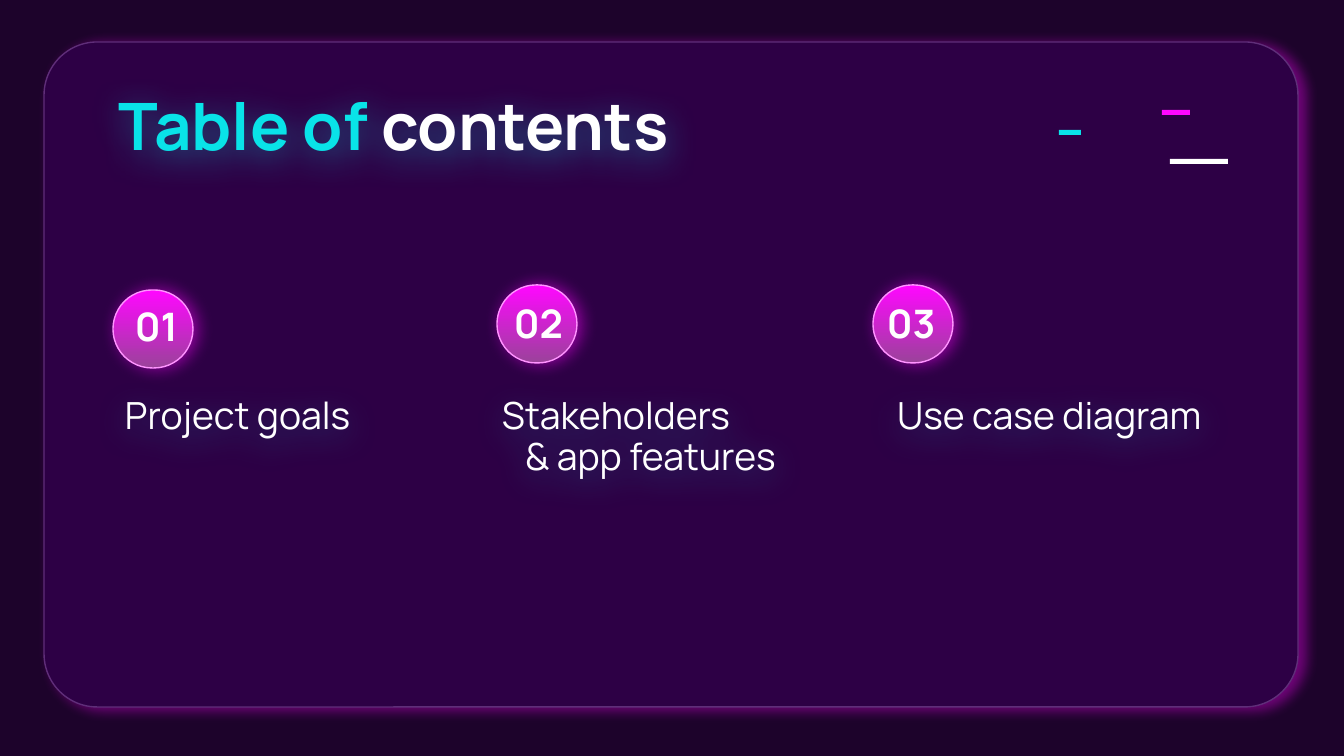
from lxml import etree
from pptx import Presentation
from pptx.dml.color import RGBColor
from pptx.enum.shapes import MSO_SHAPE
from pptx.enum.text import MSO_ANCHOR
from pptx.oxml.ns import qn
from pptx.util import Pt

PX = 914400 / 134.4
RECT, ROUNDED = MSO_SHAPE.RECTANGLE, MSO_SHAPE.ROUNDED_RECTANGLE
MIDDLE = MSO_ANCHOR.MIDDLE

FONT = "Manrope"
NIGHT = RGBColor(0x1D, 0x03, 0x2B)
PANEL = RGBColor(0x2D, 0x00, 0x45)
PANEL_EDGE = RGBColor(0x5F, 0x2E, 0x79)
MAGENTA = RGBColor(0xFF, 0x07, 0xFF)
PLUM = RGBColor(0x9B, 0x42, 0x9B)
PINK = RGBColor(0xFF, 0x94, 0xFF)
CYAN = RGBColor(0x09, 0xE3, 0xE8)
WHITE = RGBColor(0xFF, 0xFF, 0xFF)

# Boxes are left, top, width, height in px.
SLIDE = (0, 0, 1344, 756)
PANEL_BOX = (44, 42, 1254, 665)
TITLE = [("Table of", CYAN), (" contents", WHITE)]
TITLE_BOX = (106, 87, 1133, 85)
DASHES = [
    ((1170, 159, 58, 5), WHITE),
    ((1162, 110, 28, 5), MAGENTA),
    ((1059, 130, 22, 5), CYAN),
]
# Number, lines of the topic, badge corner, number corner, topic box
SECTIONS = [
    ("01", ["Project goals"], (113, 290), (122, 285), (112, 378, 367, 78)),
    ("02", ["Stakeholders", "& app features"], (497, 285), (501, 282), (489, 378, 367, 120)),
    ("03", ["Use case diagram"], (873, 285), (874, 282), (884, 378, 379, 78)),
]
BADGE_SIZE = (80, 78)
NUMBER_SIZE = (187, 87)
INSET = 13
NEXT_LINE_INDENT = 23


def emu(box):
    return [round(value * PX) for value in box]


def add_shadow(shape, color, alpha, blur, distance, angle):
    """Cast a blurred shadow: alpha in percent, lengths in points, angle in degrees."""
    shape.shadow.inherit = False
    effects = shape._element.spPr.find(qn("a:effectLst"))
    shadow = etree.SubElement(
        effects, qn("a:outerShdw"), blurRad=str(Pt(blur)), dist=str(Pt(distance)),
        dir=str(angle * 60000), algn="bl", rotWithShape="0")
    tint = etree.SubElement(shadow, qn("a:srgbClr"), val=str(color))
    etree.SubElement(tint, qn("a:alpha"), val=str(alpha * 1000))


def add_block(slide, kind, box, color, edge=None):
    block = slide.shapes.add_shape(kind, *emu(box))
    block.shadow.inherit = False
    block.fill.solid()
    block.fill.fore_color.rgb = color
    if edge is None:
        block.line.fill.background()
    else:
        block.line.color.rgb = edge
        block.line.width = Pt(0.75)
    return block


def add_text(slide, box, lines, size, bold=False):
    """Write lines, each a list of (text, colour) runs; later lines are indented."""
    text_box = slide.shapes.add_textbox(*emu(box))
    frame = text_box.text_frame
    frame.word_wrap = True
    frame.vertical_anchor = MIDDLE
    inset = round(INSET * PX)
    frame.margin_left = frame.margin_right = inset
    frame.margin_top = frame.margin_bottom = inset
    for index, runs in enumerate(lines):
        paragraph = frame.add_paragraph() if index else frame.paragraphs[0]
        paragraph.line_spacing = 0.9
        if index:
            paragraph._p.get_or_add_pPr().set("marL", str(round(NEXT_LINE_INDENT * PX)))
        for text, color in runs:
            run = paragraph.add_run()
            run.text = text
            run.font.name = FONT
            run.font.size = Pt(size)
            run.font.bold = bold
            run.font.color.rgb = color
    return text_box


def add_badge(slide, corner):
    badge = add_block(slide, ROUNDED, corner + BADGE_SIZE, MAGENTA, PINK)
    badge.adjustments[0] = 0.5
    badge.fill.gradient()
    badge.fill.gradient_angle = 270
    top, bottom = badge.fill.gradient_stops
    top.color.rgb, top.position = MAGENTA, 0
    bottom.color.rgb, bottom.position = PLUM, 1
    add_shadow(badge, MAGENTA, 50, 9, 2.2, 0)


def main():
    prs = Presentation()
    prs.slide_width, prs.slide_height = emu(SLIDE[2:])
    slide = prs.slides.add_slide(prs.slide_layouts[6])

    add_block(slide, RECT, SLIDE, NIGHT)
    panel = add_block(slide, ROUNDED, PANEL_BOX, PANEL, PANEL_EDGE)
    panel.adjustments[0] = 0.08
    add_shadow(panel, MAGENTA, 36, 6.8, 3.8, 19)
    for box, color in DASHES:
        add_block(slide, RECT, box, color)

    for number, topic, badge_corner, number_corner, topic_box in SECTIONS:
        add_badge(slide, badge_corner)
        add_text(slide, number_corner + NUMBER_SIZE, [[(number, WHITE)]], 21, bold=True)
        topic_text = add_text(slide, topic_box, [[(line, WHITE)] for line in topic], 20)
        add_shadow(topic_text, CYAN, 30, 18, 4, 90)

    title = add_text(slide, TITLE_BOX, [TITLE], 35, bold=True)
    add_shadow(title, CYAN, 40, 18, 4, 90)
    prs.save("out.pptx")


if __name__ == "__main__":
    main()
